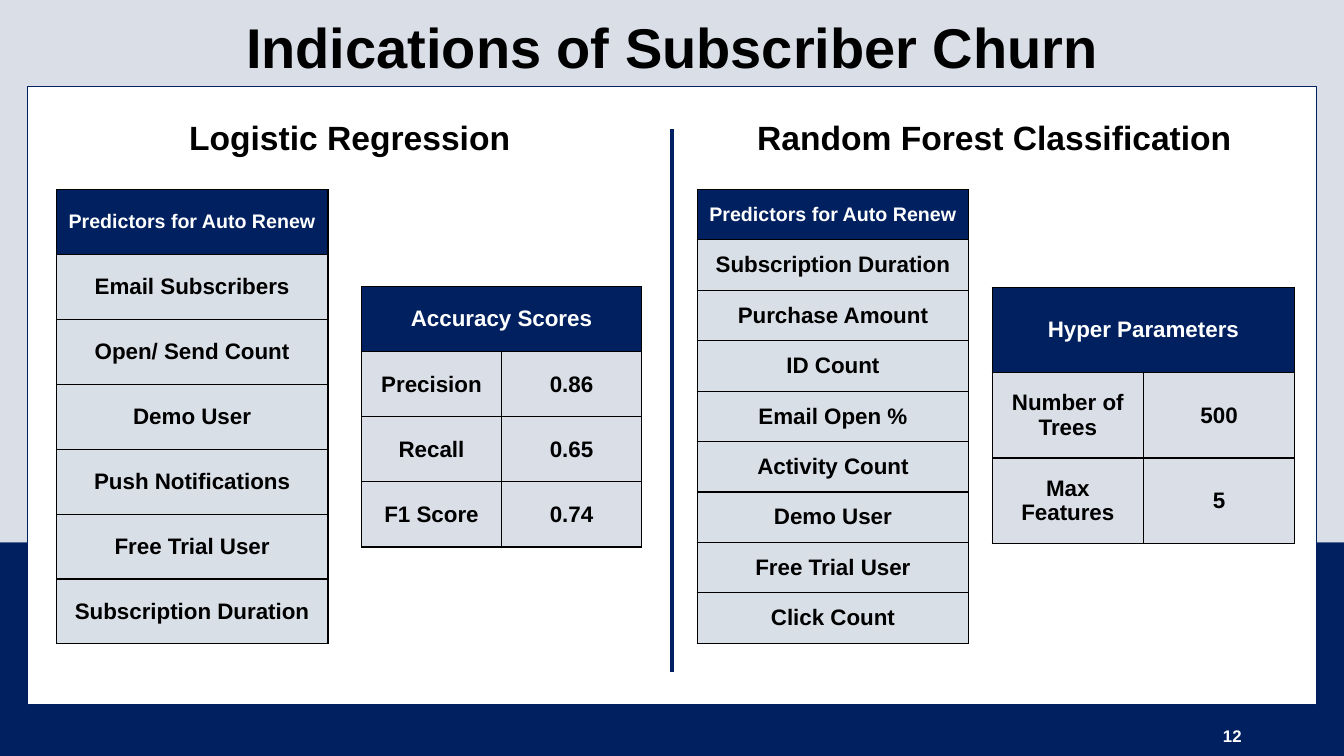
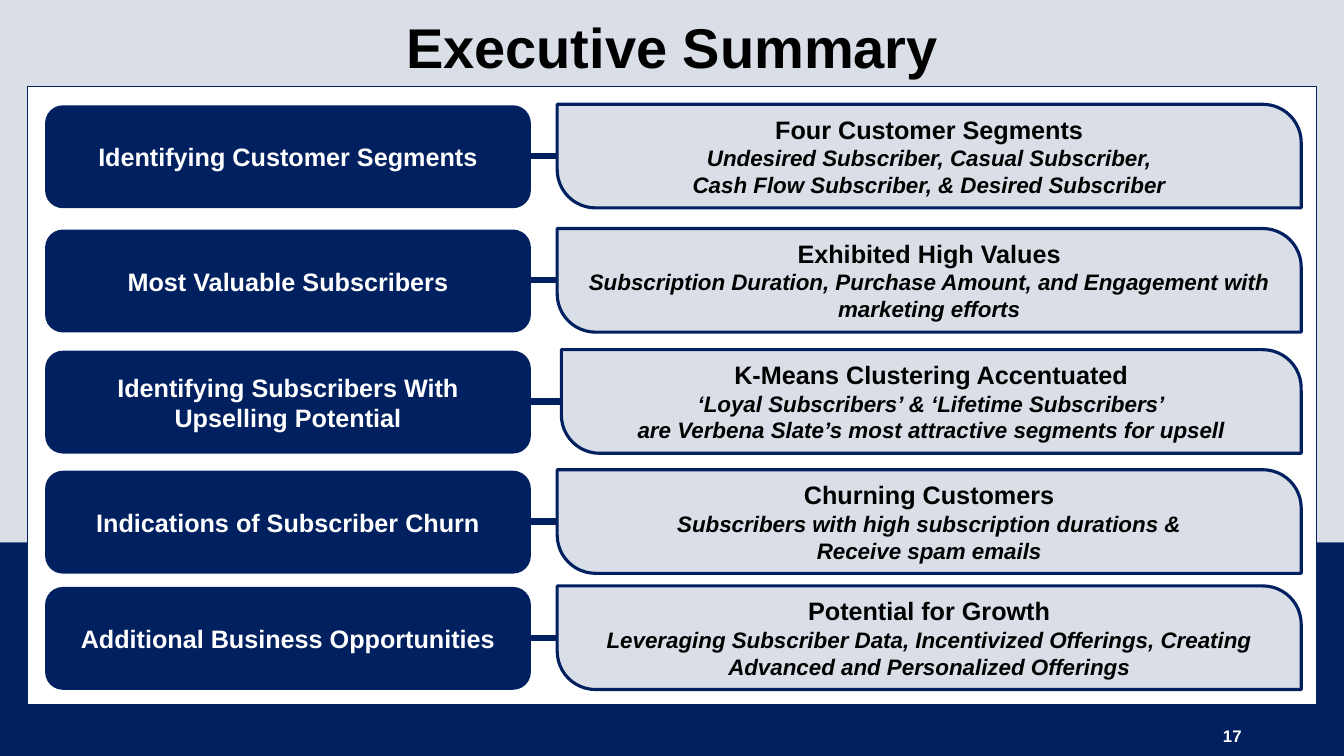
import dataclasses
import typing

import lxml.etree
import pptx
import pptx.dml.color
import pptx.enum.shapes
import pptx.enum.text
import pptx.oxml.ns
import pptx.util

Pt = pptx.util.Pt
SHAPE = pptx.enum.shapes.MSO_SHAPE
ALIGN = pptx.enum.text.PP_ALIGN
ANCHOR = pptx.enum.text.MSO_ANCHOR
qn = pptx.oxml.ns.qn

NAVY, PALE, MIST = "002060", "D9DEE7", "D9DFE7"
WHITE, BLACK = "FFFFFF", "000000"
FONT = "Arial"
WIDE, HIGH = 960, 540
SPLIT = 387.5
EDGE, SPAN = 19.5, 921


class Box(typing.NamedTuple):
    left: float
    top: float
    width: float
    height: float


class Line(typing.NamedTuple):
    text: str
    size: float
    color: str = BLACK
    italic: bool = False


@dataclasses.dataclass
class Grid:
    box: Box
    head: str
    rows: list[tuple[str, ...]]
    fill: str
    size: float = 16


@dataclasses.dataclass
class Topic:
    mid: float
    name: str
    head: str
    notes: list[str]
    left: float = 398


PREDICT = "Predictors for Auto Renew"
GRIDS = [
    Grid(Box(40.25, 135.5, 194, 324.5), PREDICT,
         [("Email Subscribers",), ("Open/ Send Count",), ("Demo User",),
          ("Push Notifications",), ("Free Trial User",),
          ("Subscription Duration",)], MIST, 14),
    Grid(Box(258.25, 204.75, 200, 186), "Accuracy Scores",
         [("Precision", "0.86"), ("Recall", "0.65"), ("F1 Score", "0.74")], PALE),
    Grid(Box(498, 135.25, 194, 324.5), PREDICT,
         [("Subscription Duration",), ("Purchase Amount",), ("ID Count",),
          ("Email Open %",), ("Activity Count",), ("Demo User",),
          ("Free Trial User",), ("Click Count",)], MIST, 14),
    Grid(Box(708.75, 205.25, 216, 183), "Hyper Parameters",
         [("Number of Trees", "500"), ("Max Features", "5")], PALE),
]

TOPICS = [
    Topic(111.5, "Identifying Customer Segments", "Four Customer Segments",
          ["Undesired Subscriber, Casual Subscriber,",
           "Cash Flow Subscriber, & Desired Subscriber"]),
    Topic(200.25, "Most Valuable Subscribers", "Exhibited High Values",
          ["Subscription Duration, Purchase Amount, and Engagement with "
           "marketing efforts"]),
    Topic(286.75, "Identifying Subscribers With Upselling Potential",
          "K-Means Clustering Accentuated",
          ["‘Loyal Subscribers’ & ‘Lifetime Subscribers’",
           "are Verbena Slate’s most attractive segments for upsell"], 401),
    Topic(372.5, "Indications of Subscriber Churn", "Churning Customers",
          ["Subscribers with high subscription durations &",
           "Receive spam emails"]),
    Topic(455.5, "Additional Business Opportunities", "Potential for Growth",
          ["Leveraging Subscriber Data, Incentivized Offerings, Creating "
           "Advanced and Personalized Offerings"]),
]


def rgb(code: str) -> pptx.dml.color.RGBColor:
    return pptx.dml.color.RGBColor.from_string(code)


def place(box: Box) -> list[pptx.util.Length]:
    return [Pt(side) for side in box]


def write(frame, lines: list[Line], align=ALIGN.CENTER) -> None:
    """Fill a text frame with one bold paragraph per line."""
    frame.word_wrap = True
    for i, line in enumerate(lines):
        para = frame.add_paragraph() if i else frame.paragraphs[0]
        para.text = line.text
        para.alignment = align
        font = para.font
        font.name, font.size, font.bold = FONT, Pt(line.size), True
        font.italic = line.italic
        font.color.rgb = rgb(line.color)


def label(slide, box: Box, line: Line, align=ALIGN.CENTER, anchor=ANCHOR.TOP) -> None:
    frame = slide.shapes.add_textbox(*place(box)).text_frame
    frame.vertical_anchor = anchor
    write(frame, [line], align)


def shape(slide, kind, box: Box, fill: str, weight: float = 0):
    """Add a flat shape; a weight of zero means no outline."""
    item = slide.shapes.add_shape(kind, *place(box))
    item.shadow.inherit = False
    item.fill.solid()
    item.fill.fore_color.rgb = rgb(fill)
    if weight:
        item.line.color.rgb = rgb(NAVY)
        item.line.width = Pt(weight)
    else:
        item.line.fill.background()
    return item


def rule(slide, x1: float, y1: float, x2: float, y2: float, weight: float) -> None:
    """Draw a straight navy line."""
    kind = pptx.enum.shapes.MSO_CONNECTOR.STRAIGHT
    item = slide.shapes.add_connector(kind, Pt(x1), Pt(y1), Pt(x2), Pt(y2))
    item.line.color.rgb = rgb(NAVY)
    item.line.width = Pt(weight)
    lxml.etree.SubElement(item._element.spPr, qn("a:effectLst"))


def border(cell) -> None:
    props = cell._tc.get_or_add_tcPr()
    for side in ("a:lnL", "a:lnR", "a:lnT", "a:lnB"):
        line = lxml.etree.SubElement(props, qn(side), w=str(Pt(1)))
        fill = lxml.etree.SubElement(line, qn("a:solidFill"))
        lxml.etree.SubElement(fill, qn("a:srgbClr"), val=BLACK)


def table(slide, grid: Grid) -> None:
    cols = len(grid.rows[0])
    rows = [(grid.head,) + ("",) * (cols - 1)] + grid.rows
    item = slide.shapes.add_table(len(rows), cols, *place(grid.box)).table
    for col in item.columns:
        col.width = Pt(grid.box.width / cols)
    for r, texts in enumerate(rows):
        item.rows[r].height = Pt(grid.box.height / len(rows))
        for c, text in enumerate(texts):
            cell = item.cell(r, c)
            border(cell)
            cell.fill.solid()
            cell.fill.fore_color.rgb = rgb(grid.fill if r else NAVY)
            cell.vertical_anchor = ANCHOR.MIDDLE
            line = Line(text, 16) if r else Line(text, grid.size, WHITE)
            write(cell.text_frame, [line])
    if cols > 1:
        item.cell(0, 0).merge(item.cell(0, cols - 1))


def page(deck, title: str, number: int):
    """Add a slide with bands, panel, title and page number."""
    slide = deck.slides.add_slide(deck.slide_layouts[6])
    shape(slide, SHAPE.RECTANGLE, Box(0, 0, WIDE, SPLIT), PALE)
    shape(slide, SHAPE.RECTANGLE, Box(0, SPLIT, WIDE, HIGH - SPLIT), NAVY)
    shape(slide, SHAPE.RECTANGLE, Box(EDGE, 61.5, SPAN, 442), WHITE, 0.75)
    label(slide, Box(678, 511.5, 216, 28.5), Line(str(number), 12, WHITE),
          ALIGN.RIGHT, ANCHOR.MIDDLE)
    label(slide, Box(EDGE, 5.75, SPAN, 55.5), Line(title, 40))
    return slide


def churn(deck) -> None:
    slide = page(deck, "Indications of Subscriber Churn", 12)
    rule(slide, WIDE / 2, 92, WIDE / 2, 480, 2.25)
    half = SPAN / 2
    for i, text in enumerate(("Logistic Regression", "Random Forest Classification")):
        label(slide, Box(EDGE + i * half, 80, half, 36), Line(text, 24))
    for grid in GRIDS:
        table(slide, grid)


def summary(deck) -> None:
    slide = page(deck, "Executive Summary", 17)
    right, tall, low = 929.5, 74, 72
    for topic in TOPICS:
        mid, left = topic.mid, topic.left
        card = shape(slide, SHAPE.ROUND_2_DIAG_RECTANGLE,
                     Box(left, mid - tall / 2, right - left, tall), PALE, 2.25)
        card.adjustments[0], card.adjustments[1] = 0, 0.37
        notes = [Line(note, 16, italic=True) for note in topic.notes]
        write(card.text_frame, [Line(topic.head, 18)] + notes)
        rule(slide, left - 120, mid, left, mid, 4.5)
        pill = shape(slide, SHAPE.ROUNDED_RECTANGLE,
                     Box(33, mid - low / 2 + 0.5, 345.5, low), NAVY, 1.5)
        write(pill.text_frame, [Line(topic.name, 18, WHITE)])


def main() -> None:
    deck = pptx.Presentation()
    deck.slide_width, deck.slide_height = Pt(WIDE), Pt(HIGH)
    churn(deck)
    summary(deck)
    deck.save("out.pptx")


if __name__ == "__main__":
    main()
